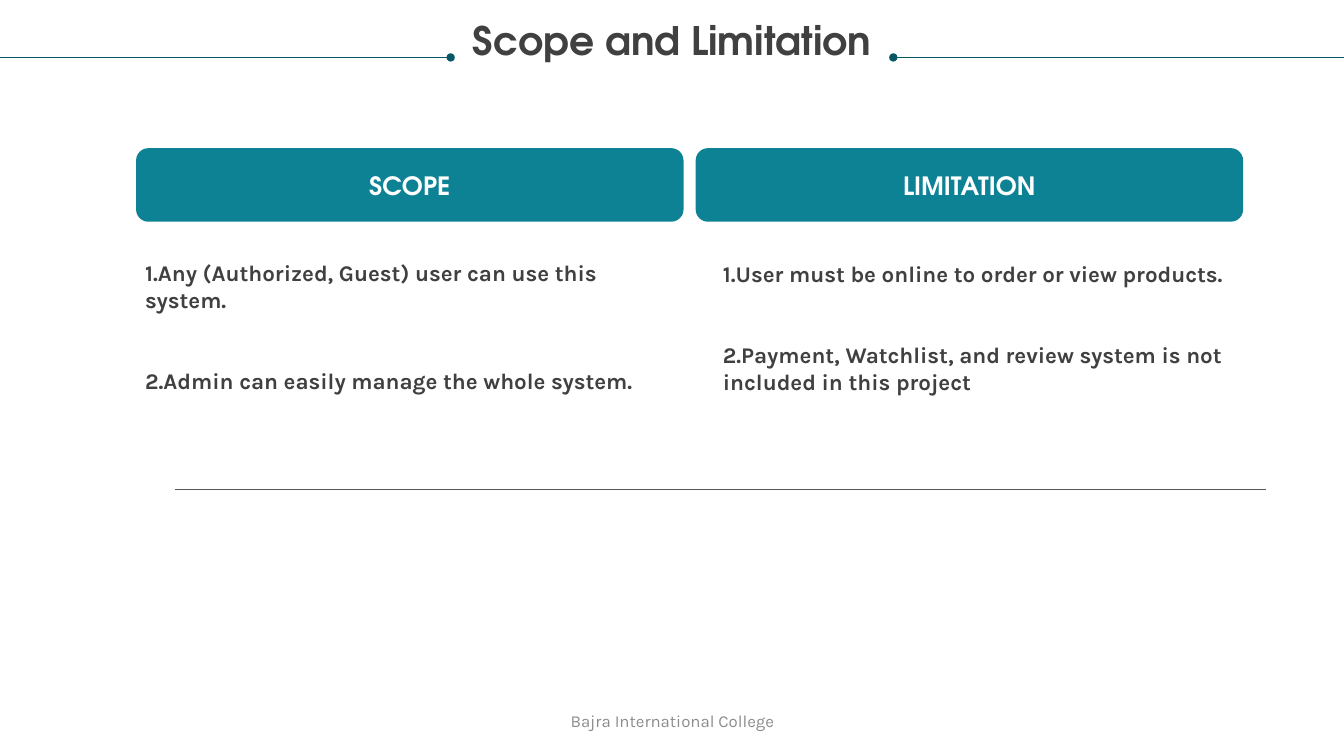
from lxml.etree import SubElement
from pptx import Presentation
from pptx.dml.color import RGBColor
from pptx.enum.shapes import MSO_CONNECTOR as Connector, MSO_SHAPE as Shape
from pptx.enum.text import MSO_ANCHOR as Anchor, MSO_AUTO_SIZE as AutoSize, PP_ALIGN as Align
from pptx.oxml.ns import qn
from pptx.util import Inches, Pt

COLORS = {"ink": "404040", "teal": "0D8295", "deep": "085764",
          "rule": "585858", "muted": "8C8C8C", "white": "FFFFFF"}
HEADING, BODY = "TeX Gyre Adventor", "Karla"
ITEM_GAP = Pt(38.9)


class SlideBuilder:
    """Holds the style and the current slide, and adds each kind of element."""

    def __init__(self, deck, layout):
        self.slide = deck.slides.add_slide(deck.slide_layouts[layout])

    def color(self, name):
        return RGBColor.from_string(COLORS[name])

    def set_text(self, shape, lines, font, size, color, bold=True, align=Align.CENTER,
                 anchor=Anchor.MIDDLE, inset=None, bullets_off=False, spacing=None, gap=Pt(0)):
        frame = shape.text_frame
        frame_format = {"word_wrap": True, "auto_size": AutoSize.NONE, "vertical_anchor": anchor}
        if inset is not None:
            sides = ("left", "top", "right", "bottom")
            frame_format.update({f"margin_{side}": inset for side in sides})
        for key, value in frame_format.items():
            setattr(frame, key, value)
        for number, line in enumerate(lines):
            paragraph = frame.add_paragraph() if number else frame.paragraphs[0]
            if bullets_off:
                properties = paragraph._p.get_or_add_pPr()
                properties.set("marL", "0")
                properties.set("indent", "0")
                SubElement(properties, qn("a:buNone"))
            paragraph_format = {"alignment": align, "line_spacing": spacing,
                                "space_before": gap if number else Pt(0)}
            for key, value in paragraph_format.items():
                setattr(paragraph, key, value)
            run = paragraph.add_run()
            run.text = line
            for key, value in {"name": font, "size": Pt(size), "bold": bold}.items():
                setattr(run.font, key, value)
            run.font.color.rgb = self.color(color)

    def placeholder(self, index, box, lines, **style):
        holder = self.slide.placeholders[index]
        for key, value in zip(("left", "top", "width", "height"), box):
            setattr(holder, key, Inches(value))
        self.set_text(holder, lines, color="ink", anchor=Anchor.TOP, inset=0, **style)

    def banner(self, box, label):
        banner = self.slide.shapes.add_shape(Shape.ROUNDED_RECTANGLE, *map(Inches, box))
        banner.shadow.inherit = False
        banner.fill.solid()
        banner.fill.fore_color.rgb = self.color("teal")
        banner.line.fill.background()
        self.set_text(banner, [label], HEADING, 18, "white")

    def rule(self, start, end, y, color, dot=None):
        rule = self.slide.shapes.add_connector(
            Connector.STRAIGHT, Inches(start), Inches(y), Inches(end), Inches(y))
        rule.line.color.rgb = self.color(color)
        rule.line.width = Pt(0.5)
        properties = rule._element.spPr
        if dot:
            SubElement(properties.find(qn("a:ln")), qn(f"a:{dot}End"), type="oval")
        SubElement(properties, qn("a:effectLst"))

    def footer(self, box, text):
        footer = self.slide.shapes.add_textbox(*map(Inches, box))
        self.set_text(footer, [text], BODY, 12, "muted", bold=False)


def main():
    deck = Presentation()
    deck.slide_width, deck.slide_height = Inches(13.33), Inches(7.5)
    page = SlideBuilder(deck, 3)

    page.placeholder(0, (0.25, 0.21, 12.83, 0.42), ["Scope and Limitation"],
                     font=HEADING, size=28, spacing=0.9)
    page.rule(0, 4.47, 0.57, "deep", "tail")
    page.rule(8.86, 13.33, 0.57, "deep", "head")

    columns = [
        ("SCOPE", (1.44, 2.57, 5.08, 1.35),
         ["1.Any (Authorized, Guest) user can use this system.",
          "2.Admin can easily manage the whole system."]),
        ("LIMITATION", (7.17, 2.58, 5.01, 1.35),
         ["1.User must be online to order or view products.",
          "2.Payment, Watchlist, and review system is not included in this project"]),
    ]
    for column, (label, box, points) in enumerate(columns):
        page.banner((1.35 + 5.55 * column, 1.47, 5.43, 0.73), label)
        page.placeholder(column + 1, box, points, font=BODY, size=16,
                         align=Align.LEFT, bullets_off=True, gap=ITEM_GAP)

    page.rule(1.74, 12.56, 4.85, "rule")
    page.footer((4.42, 6.95, 4.5, 0.4), "Bajra International College")
    deck.save("out.pptx")


if __name__ == "__main__":
    main()
